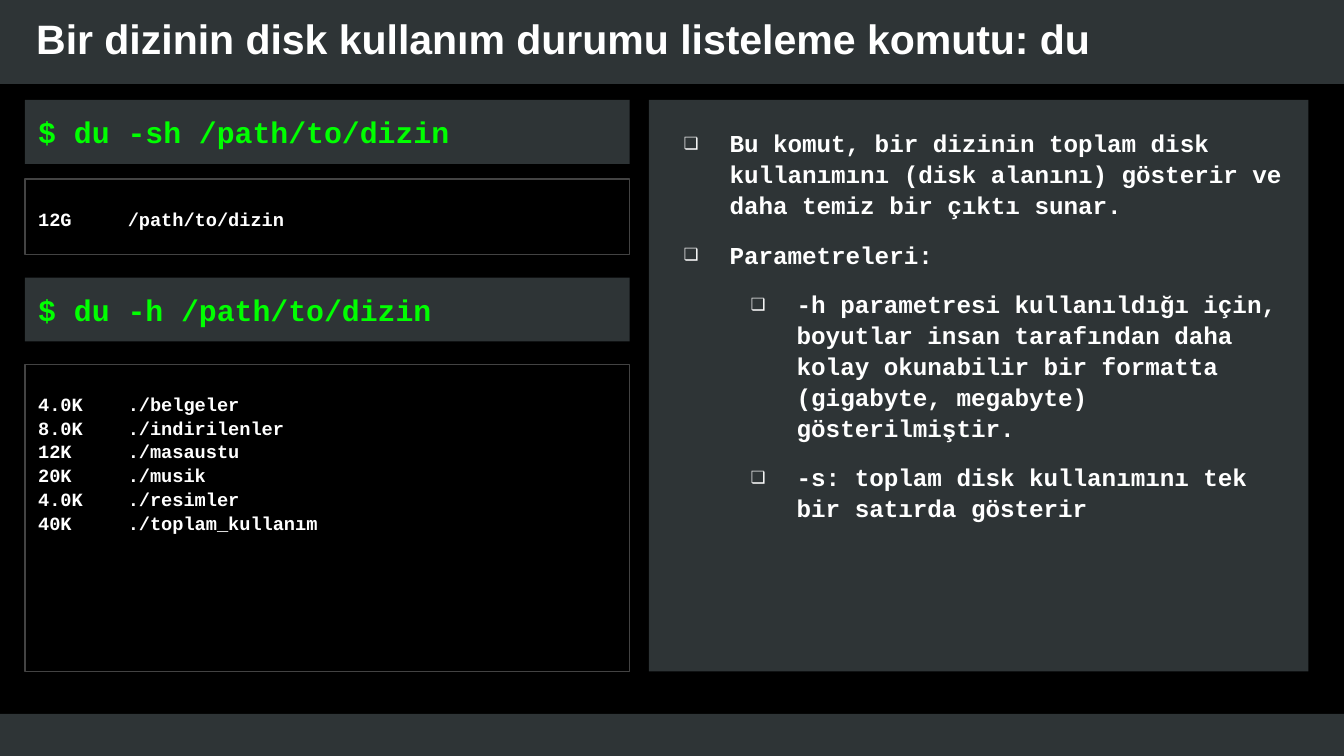
from pptx import Presentation
from pptx.dml.color import RGBColor
from pptx.enum.shapes import MSO_SHAPE
from pptx.enum.text import MSO_ANCHOR, MSO_AUTO_SIZE, PP_ALIGN
from pptx.oxml.ns import qn
from pptx.util import Pt
from lxml import etree

RECT = MSO_SHAPE.RECTANGLE
TOP, MIDDLE = MSO_ANCHOR.TOP, MSO_ANCHOR.MIDDLE
LEFT = PP_ALIGN.LEFT
NO_FIT = MSO_AUTO_SIZE.NONE

COLORS = {"black": "000000", "panel": "2E3436", "border": "434343",
          "white": "FFFFFF", "green": "00FF00"}
SANS, MONO = "Arial", "Courier New"
WIDTH, HEIGHT = 720, 405
COL_X, COL_W = 13.4, 324
OUTPUT_TAB = 48
LINE_SPACING = 1.06

TITLE = "Bir dizinin disk kullanım durumu listeleme komutu: du"
BARS = [(0, 45), (382.5, 22.5)]
COMMANDS = [
    ("$ du -sh /path/to/dizin", 53.5),
    ("$ du -h /path/to/dizin", 148.7),
]
OUTPUTS = [
    ([("12G", "/path/to/dizin")], 96, 40.3),
    ([("4.0K", "./belgeler"), ("8.0K", "./indirilenler"),
      ("12K", "./masaustu"), ("20K", "./musik"),
      ("4.0K", "./resimler"), ("40K", "./toplam_kullanım")], 195.3, 164.4),
]
NOTES = [
    (0, "Bu komut, bir dizinin toplam disk kullanımını (disk alanını) "
        "gösterir ve daha temiz bir çıktı sunar."),
    (0, "Parametreleri:"),
    (1, "-h parametresi kullanıldığı için, boyutlar insan tarafından daha "
        "kolay okunabilir bir formatta (gigabyte, megabyte) gösterilmiştir."),
    (1, "-s: toplam disk kullanımını tek bir satırda gösterir"),
]


def rgb(name):
    return RGBColor.from_string(COLORS[name])


def place(sp, x, y, w, h):
    sp.left, sp.top, sp.width, sp.height = Pt(x), Pt(y), Pt(w), Pt(h)


def fill_panel(sp):
    sp.fill.solid()
    sp.fill.fore_color.rgb = rgb("panel")


def add_box(s, x, y, w, h, bordered=False):
    sp = s.shapes.add_shape(RECT, Pt(x), Pt(y), Pt(w), Pt(h))
    sp.shadow.inherit = False
    if bordered:
        sp.fill.background()
        sp.line.color.rgb = rgb("border")
        sp.line.width = Pt(0.75)
    else:
        fill_panel(sp)
        sp.line.fill.background()
    return sp


def set_frame(sp, anchor, left, top, right, bottom):
    tf = sp.text_frame
    tf.word_wrap = True
    tf.auto_size = NO_FIT
    tf.vertical_anchor = anchor
    tf.margin_left, tf.margin_top = Pt(left), Pt(top)
    tf.margin_right, tf.margin_bottom = Pt(right), Pt(bottom)
    return tf


def next_paragraph(tf, i):
    p = tf.paragraphs[0] if i == 0 else tf.add_paragraph()
    p.alignment = LEFT
    p.space_before = Pt(0)
    return p


def add_run(p, text, size, color="white", font=MONO):
    r = p.add_run()
    r.text = text
    r.font.name, r.font.size, r.font.bold = font, Pt(size), True
    r.font.color.rgb = rgb(color)


def add_tab(p, position):
    tabs = etree.SubElement(p._p.get_or_add_pPr(), qn("a:tabLst"))
    etree.SubElement(tabs, qn("a:tab"), pos=str(Pt(position)), algn="l")


def add_bullet(p, indent, hanging):
    pPr = p._p.get_or_add_pPr()
    pPr.set("marL", str(Pt(indent)))
    pPr.set("indent", str(-Pt(hanging)))
    color = etree.SubElement(pPr, qn("a:buClr"))
    etree.SubElement(color, qn("a:srgbClr"), val=COLORS["white"])
    etree.SubElement(pPr, qn("a:buFont"), typeface=MONO)
    etree.SubElement(pPr, qn("a:buChar"), char="❏")


def build():
    """Build the slide that explains the du command."""
    prs = Presentation()
    prs.slide_width, prs.slide_height = Pt(WIDTH), Pt(HEIGHT)
    s = prs.slides.add_slide(prs.slide_layouts[1])
    s.background.fill.solid()
    s.background.fill.fore_color.rgb = rgb("black")
    title, body = s.shapes.title, s.placeholders[1]

    for y, h in BARS:
        bar = add_box(s, 0, y, WIDTH, h)
        title._element.addprevious(bar._element)

    place(title, 12.2, 0, 617.8, 40.3)
    tf = set_frame(title, MIDDLE, 7.2, 7.2, 7.2, 7.2)
    add_run(next_paragraph(tf, 0), TITLE, 22, font=SANS)

    for command, y in COMMANDS:
        sp = add_box(s, COL_X, y, COL_W, 34.3)
        tf = set_frame(sp, MIDDLE, 7.2, 0, 0, 0)
        add_run(next_paragraph(tf, 0), command, 16, "green")

    for rows, y, h in OUTPUTS:
        sp = add_box(s, COL_X, y, COL_W, h, bordered=True)
        tf = set_frame(sp, TOP, 7.2, 14.4, 7.2, 7.2)
        for i, row in enumerate(rows):
            p = next_paragraph(tf, i)
            p.line_spacing = LINE_SPACING
            add_tab(p, OUTPUT_TAB)
            add_run(p, "\t".join(row), 10)

    place(body, 347.6, 53.5, 353.4, 306.2)
    fill_panel(body)
    tf = set_frame(body, TOP, 7.2, 14.4, 7.2, 7.2)
    for i, (level, text) in enumerate(NOTES):
        p = next_paragraph(tf, i)
        p.level = level
        p.line_spacing = LINE_SPACING
        p.space_before = Pt(10 if i else 0)
        add_bullet(p, 36 * (level + 1), 24.5)
        add_run(p, text, 13)

    prs.save("out.pptx")


if __name__ == "__main__":
    build()
